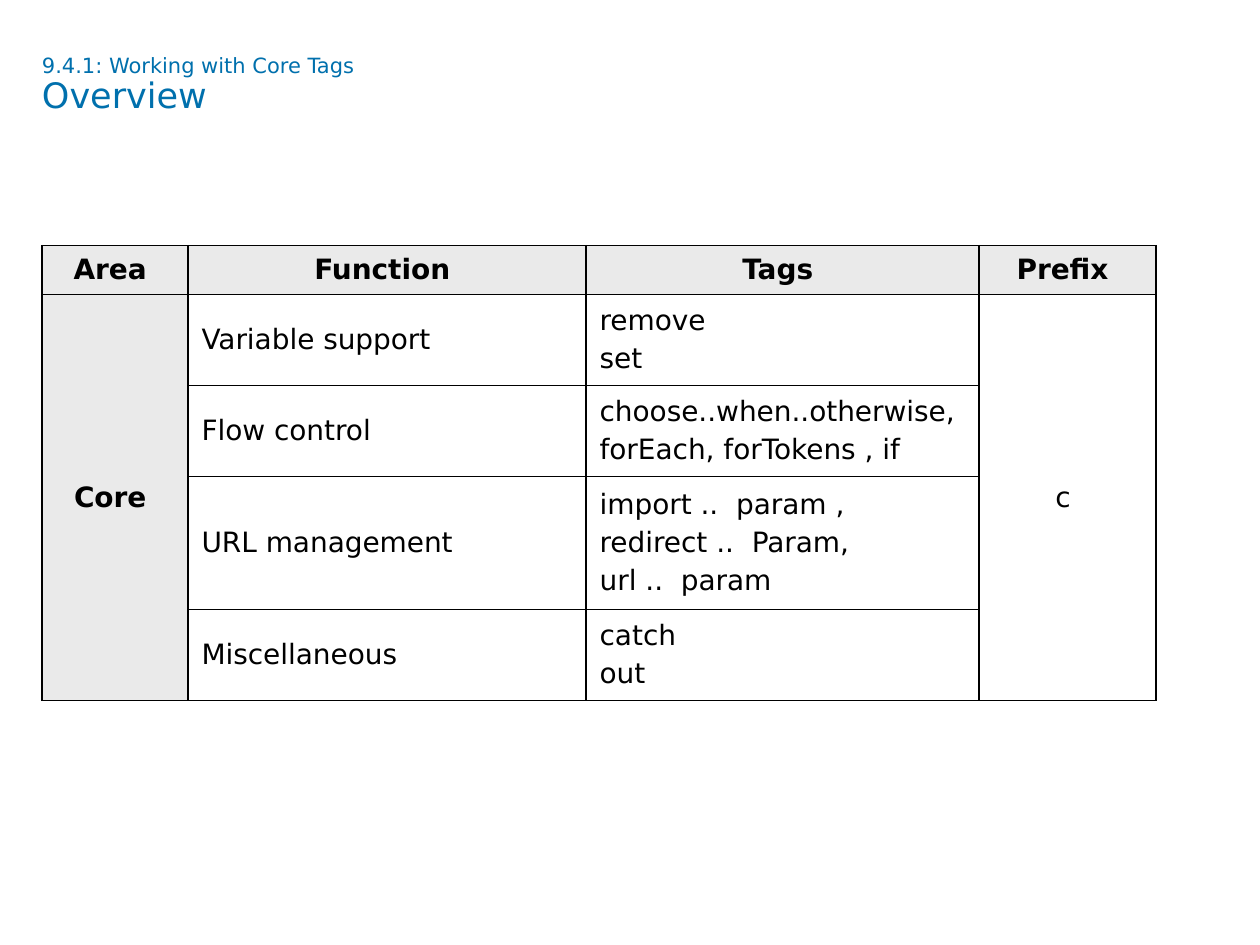
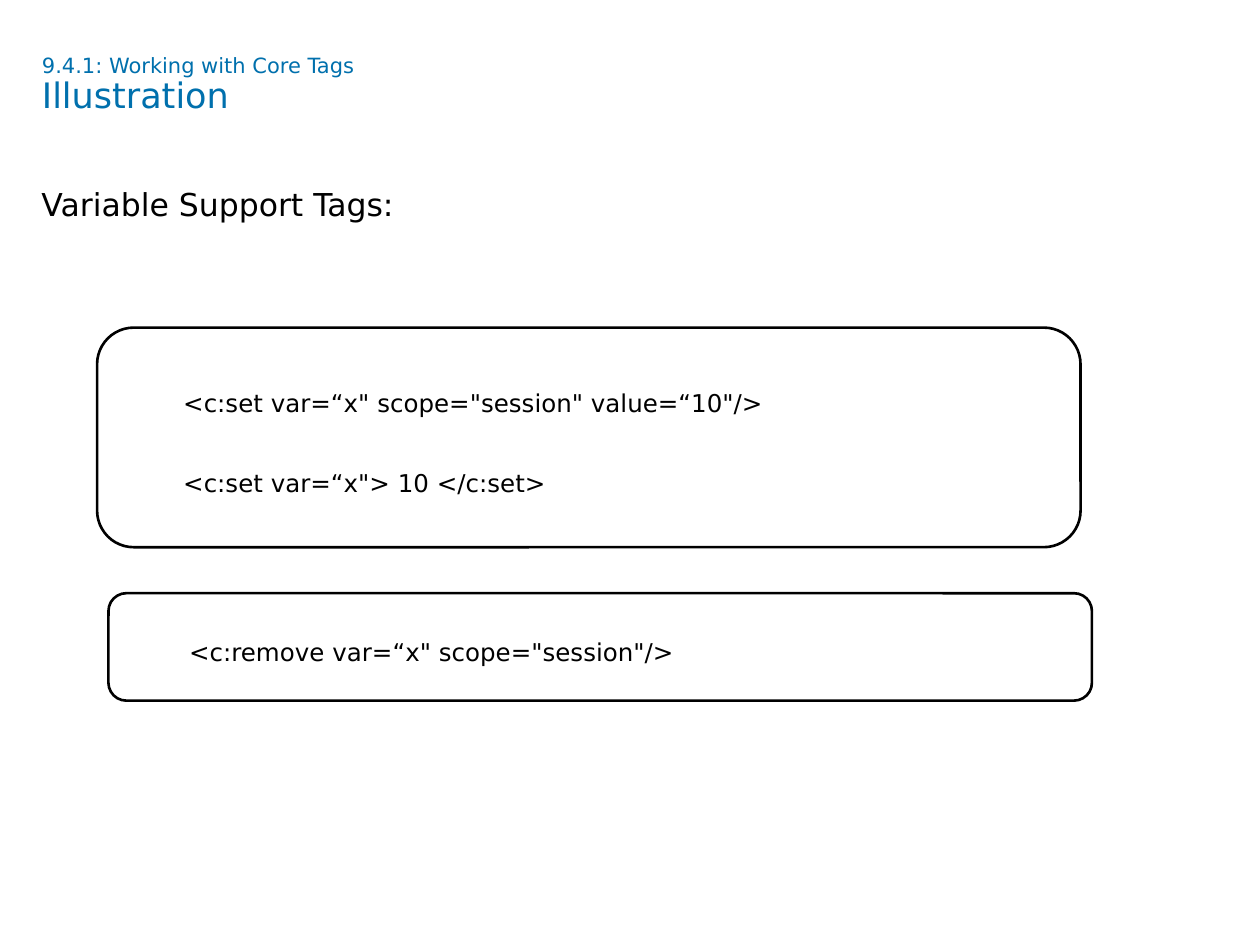
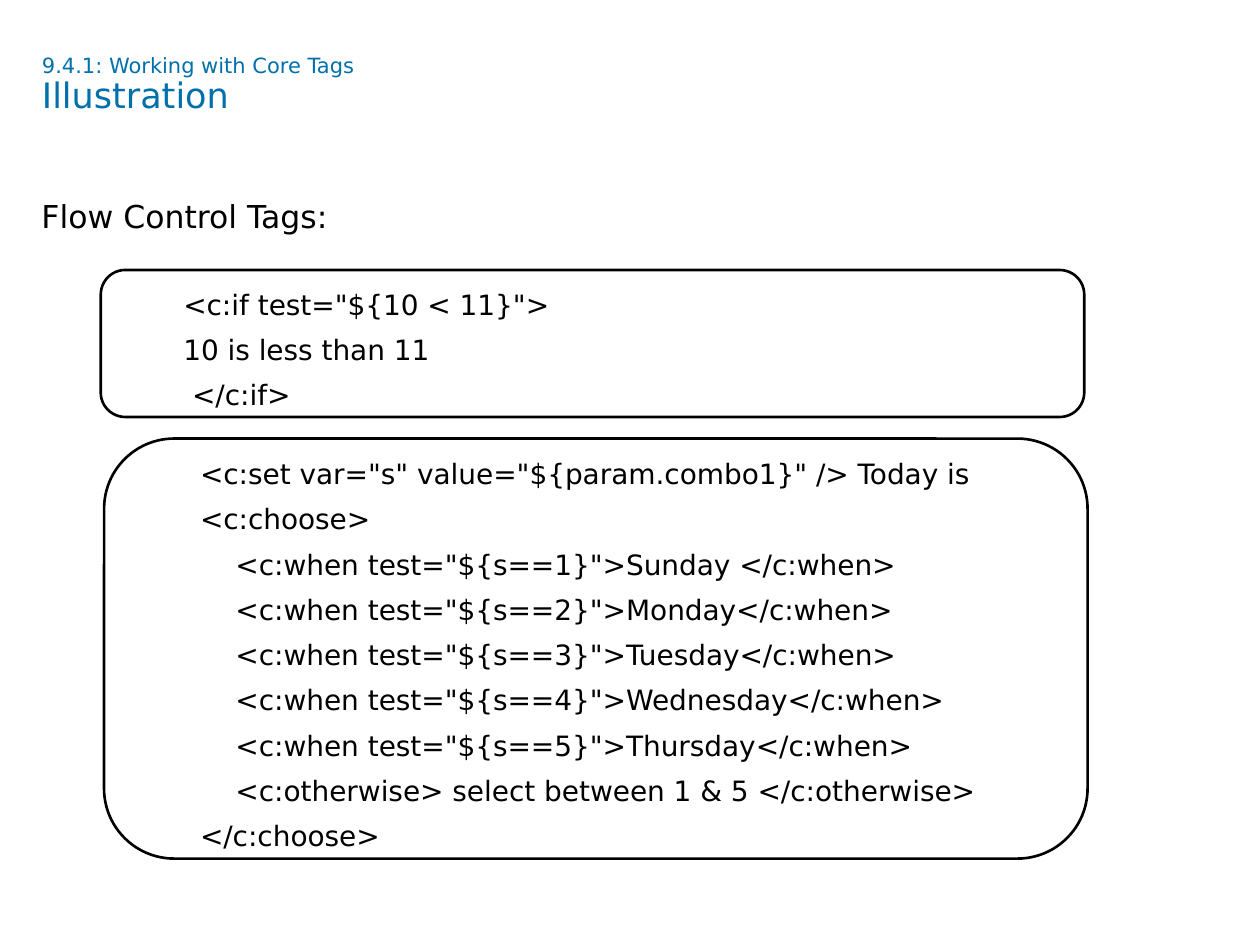
from lxml.etree import SubElement
from pptx import Presentation
from pptx.dml.color import RGBColor
from pptx.enum.shapes import MSO_SHAPE
from pptx.enum.text import MSO_ANCHOR, PP_ALIGN
from pptx.oxml.ns import qn
from pptx.util import Pt

COLORS = {"title": "0070AD", "ink": "000000", "header": "EAEAEA", "paper": "FFFFFF"}
FONT = "DejaVu Sans"
SECTION = "9.4.1: Working with Core Tags"
TITLE_BOX = (24, 31.7, 651, 67.7)

HEADINGS = ["Area ", "Function ", "Tags ", "Prefix "]
TAG_GROUPS = [
    ("Variable support", ["remove", "set"]),
    ("Flow control", ["choose..when..otherwise,", "forEach, forTokens , if"]),
    ("URL management", ["import ..  param ,", "redirect ..  Param,", "url ..  param"]),
    ("Miscellaneous", ["catch", "out"]),
]
COLUMN_WIDTHS = [83.5, 227.5, 224.5, 101]
ROW_HEIGHTS = [28, 52, 52, 76, 52]

SET_CODE = ["<c:set var=“x\" scope=\"session\" value=“10\"/>", "<c:set var=“x\"> 10 </c:set>"]
REMOVE_CODE = ["<c:remove var=“x\" scope=\"session\"/>"]
IF_CODE = ["<c:if test=\"${10 < 11}\">", "10 is less than 11", " </c:if>"]
WEEKDAYS = ["Sunday ", "Monday", "Tuesday", "Wednesday", "Thursday"]
CHOOSE_CODE = [
    "<c:set var=\"s\" value=\"${param.combo1}\" /> Today is",
    "<c:choose>",
    *[f"    <c:when test=\"${{s=={number}}}\">{day}</c:when>"
      for number, day in enumerate(WEEKDAYS, 1)],
    "    <c:otherwise> select between 1 & 5 </c:otherwise>",
    "</c:choose>",
]


def rgb(name):
    return RGBColor.from_string(COLORS[name])


def style(font, size, color="ink", bold=False):
    font.name = FONT
    font.size = Pt(size)
    font.bold = bold
    font.color.rgb = rgb(color)


def add_text_frame(slide, box):
    frame = slide.shapes.add_textbox(*map(Pt, box)).text_frame
    frame.word_wrap = True
    frame.margin_left = frame.margin_right = frame.margin_top = frame.margin_bottom = 0
    return frame


def add_title(slide, topic):
    heading = add_text_frame(slide, TITLE_BOX).paragraphs[0]
    heading.text = f"{SECTION}\v{topic}"
    heading.line_spacing = 0.9
    for run, size in zip(heading.runs, (12, 20)):
        style(run.font, size, "title")


def add_lead(slide, box, words):
    lead = add_text_frame(slide, box).paragraphs[0]
    lead.text = words
    lead.line_spacing = Pt(16.5)
    style(lead.runs[0].font, 18)


def add_code_panel(slide, box, lines, size, gap=0):
    panel = slide.shapes.add_shape(MSO_SHAPE.ROUNDED_RECTANGLE, *map(Pt, box))
    panel.shadow.inherit = False
    panel.adjustments[0] = 0.167
    panel.fill.background()
    panel.line.color.rgb = rgb("ink")
    panel.line.width = Pt(1.5)
    frame = panel.text_frame
    frame.word_wrap = True
    frame.vertical_anchor = MSO_ANCHOR.MIDDLE
    frame.text = "\n".join(lines)
    for index, line in enumerate(frame.paragraphs):
        line.alignment = PP_ALIGN.LEFT
        line.level = 1
        line.line_spacing = 1.35
        if index and gap:
            line.space_before = Pt(gap)
        properties = line._p.get_or_add_pPr()
        properties.set("marL", str(Pt(36)))
        properties.set("indent", "0")
        style(line.runs[0].font, size)


def add_borders(cell):
    properties = cell._tc.get_or_add_tcPr()
    for index, side in enumerate(("a:lnL", "a:lnR", "a:lnT", "a:lnB")):
        border = SubElement(properties, qn(side), w=str(Pt(1)))
        fill = SubElement(border, qn("a:solidFill"))
        SubElement(fill, qn("a:srgbClr"), val=COLORS["ink"])
        properties.insert(index, border)


def fill_cell(cell, lines, centred, header):
    cell.text = "\n".join(lines)
    cell.vertical_anchor = MSO_ANCHOR.MIDDLE
    cell.margin_left = cell.margin_right = Pt(7.7)
    cell.margin_top = cell.margin_bottom = Pt(3.6)
    cell.fill.solid()
    cell.fill.fore_color.rgb = rgb("header" if header else "paper")
    add_borders(cell)
    for index, line in enumerate(cell.text_frame.paragraphs):
        line.alignment = PP_ALIGN.CENTER if centred else PP_ALIGN.LEFT
        if index:
            line.space_before = Pt(3.2)
        style(line.font, 16, bold=header)
        for run in line.runs:
            style(run.font, 16, bold=header)


def add_tag_table(slide, left, top):
    table = slide.shapes.add_table(
        len(ROW_HEIGHTS), len(COLUMN_WIDTHS), Pt(left), Pt(top),
        Pt(sum(COLUMN_WIDTHS)), Pt(sum(ROW_HEIGHTS))).table
    for column, width in zip(table.columns, COLUMN_WIDTHS):
        column.width = Pt(width)
    for row, height in zip(table.rows, ROW_HEIGHTS):
        row.height = Pt(height)
    for column, heading in enumerate(HEADINGS):
        fill_cell(table.cell(0, column), [heading], True, True)
    for row, (function, tags) in enumerate(TAG_GROUPS, 1):
        area, prefix = ("Core ", "c ") if row == 1 else ("", "")
        fill_cell(table.cell(row, 0), [area], True, True)
        fill_cell(table.cell(row, 1), [function], False, False)
        fill_cell(table.cell(row, 2), tags, False, False)
        fill_cell(table.cell(row, 3), [prefix], True, False)
    for column in (0, 3):
        table.cell(1, column).merge(table.cell(len(TAG_GROUPS), column))


def add_slide(deck, topic):
    slide = deck.slides.add_slide(deck.slide_layouts[6])
    add_title(slide, topic)
    return slide


def main():
    deck = Presentation()
    deck.slide_width, deck.slide_height = Pt(720), Pt(540)

    overview = add_slide(deck, "Overview")
    add_tag_table(overview, 24, 140.4)

    variables = add_slide(deck, "Illustration")
    add_lead(variables, (23.7, 110.9, 696, 372), "Variable Support Tags:")
    add_code_panel(variables, (55.5, 187.2, 562, 125.5), SET_CODE, 14, gap=22.8)
    add_code_panel(variables, (62, 339, 562, 61.4), REMOVE_CODE, 14)

    flow = add_slide(deck, "Illustration")
    add_lead(flow, (23.7, 117.4, 696, 36.7), "Flow Control Tags:")
    add_code_panel(flow, (57.6, 154.3, 562, 84), IF_CODE, 16)
    add_code_panel(flow, (59.5, 250.6, 562, 240), CHOOSE_CODE, 16)

    deck.save("out.pptx")


if __name__ == "__main__":
    main()
